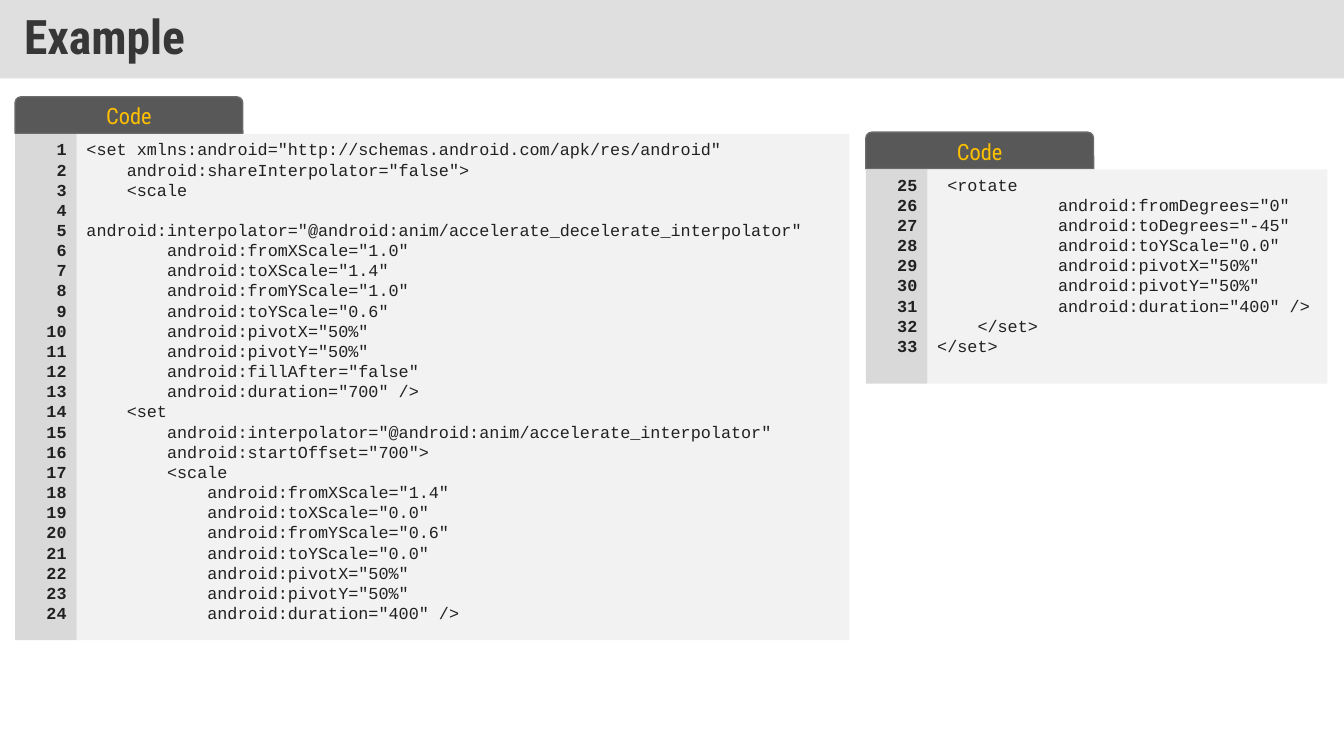
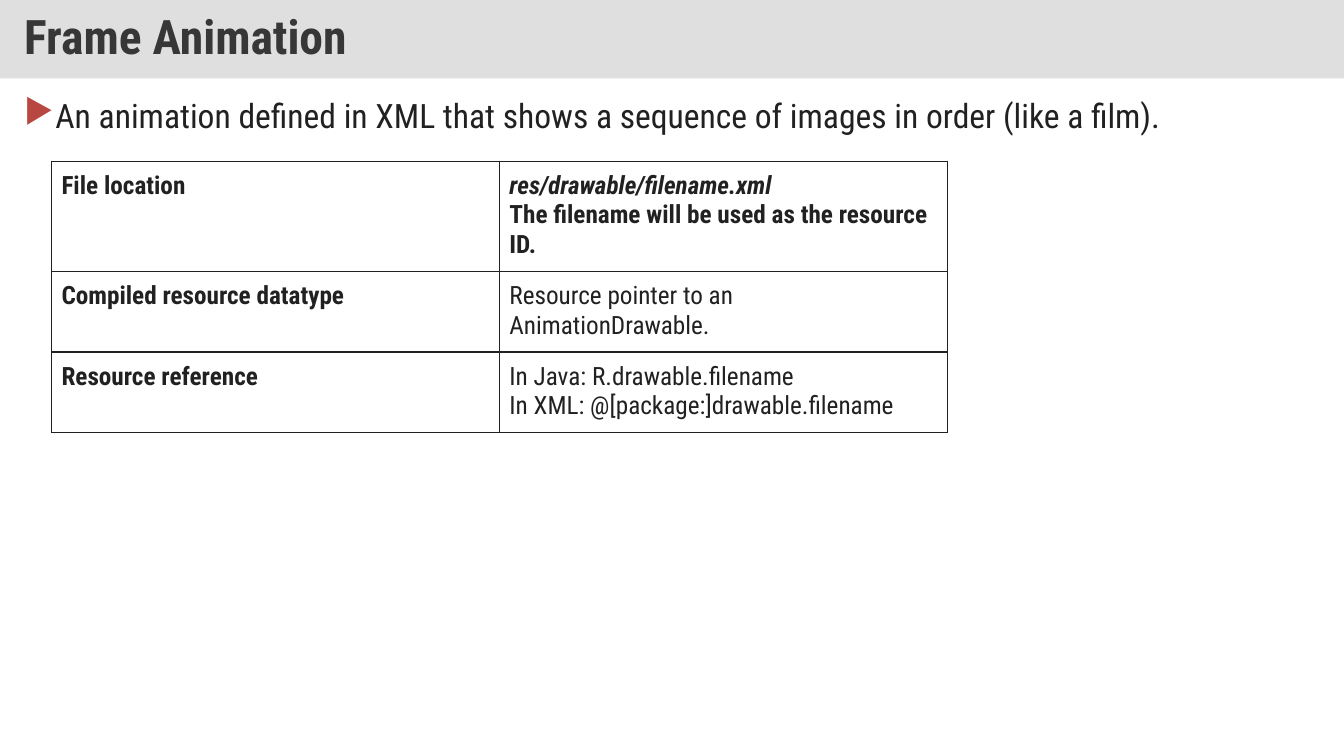
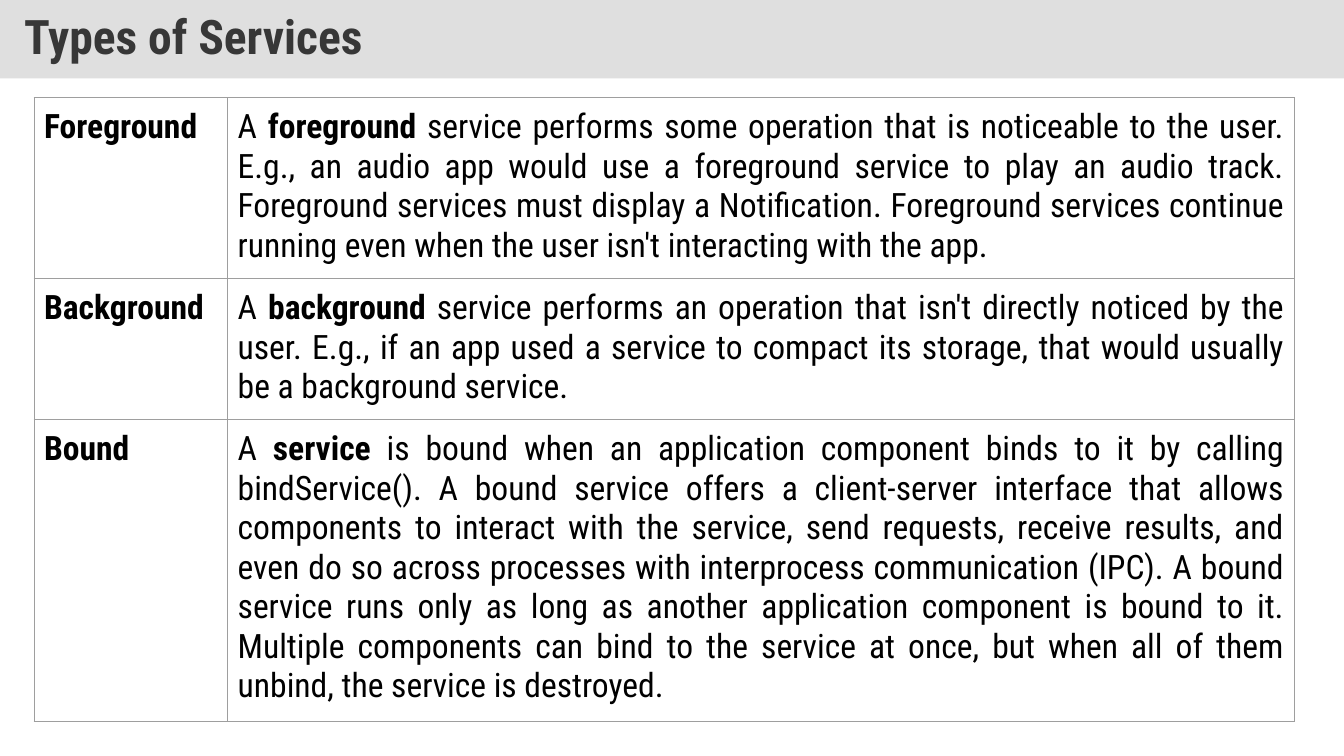
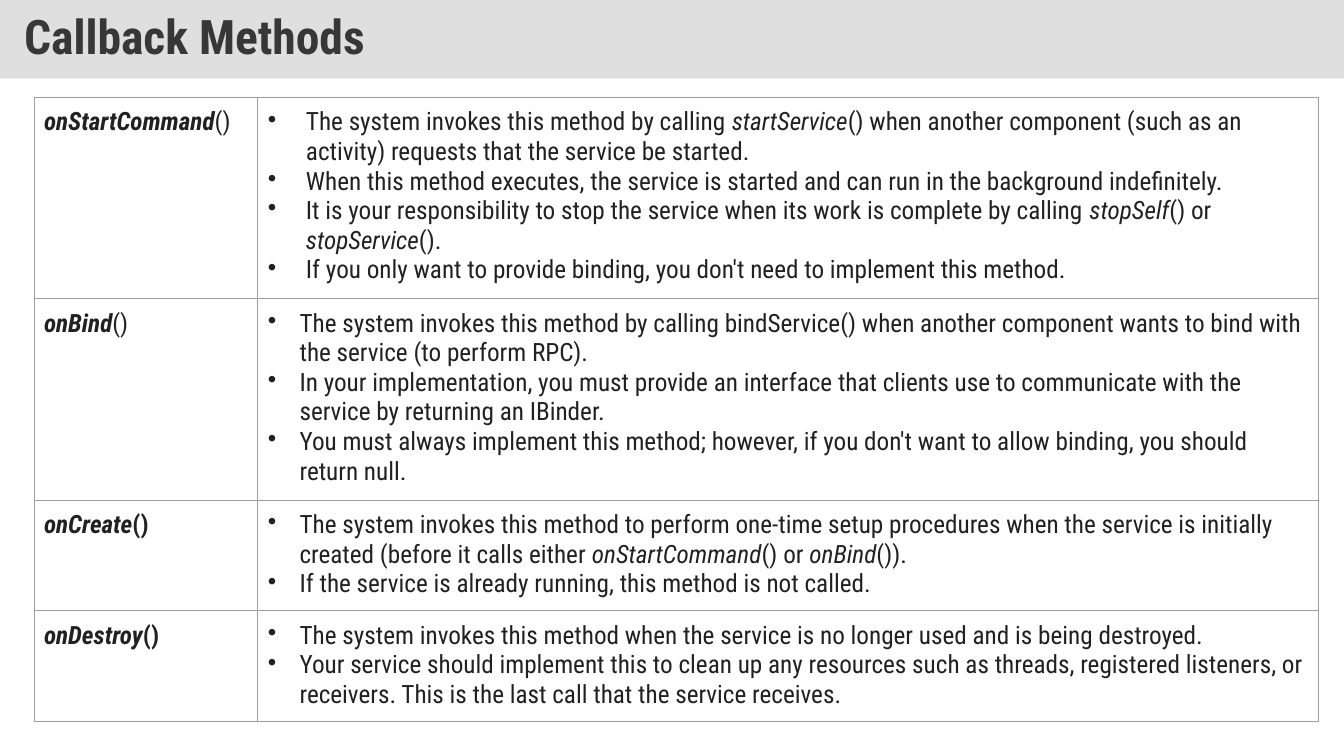
from lxml import etree
from pptx import Presentation
from pptx.dml.color import RGBColor
from pptx.enum.shapes import MSO_SHAPE
from pptx.enum.text import MSO_ANCHOR, PP_ALIGN
from pptx.oxml.ns import qn
from pptx.util import Cm, Pt

RECT, TAB = MSO_SHAPE.RECTANGLE, MSO_SHAPE.ROUND_2_SAME_RECTANGLE
LEFT, CENTER, RIGHT, JUSTIFY = PP_ALIGN.LEFT, PP_ALIGN.CENTER, PP_ALIGN.RIGHT, PP_ALIGN.JUSTIFY
TOP, MIDDLE = MSO_ANCHOR.TOP, MSO_ANCHOR.MIDDLE

BAND = RGBColor(0xC0, 0xC0, 0xC0)
TITLE = RGBColor(0x37, 0x37, 0x37)
INK = RGBColor(0x21, 0x21, 0x21)
BLACK = RGBColor(0, 0, 0)
RULE = RGBColor(0x9E, 0x9E, 0x9E)
RED = RGBColor(0xB8, 0x47, 0x42)
AMBER = RGBColor(0xFF, 0xC0, 0x00)
TAB_FILL = RGBColor(0x58, 0x58, 0x58)
TAB_LINE = RGBColor(0x6B, 0x6B, 0x6B)
CODE_FILL = RGBColor(0xF2, 0xF2, 0xF2)
GUTTER_FILL = RGBColor(0xD9, 0xD9, 0xD9)
SANS, MONO = "Roboto Condensed", "Courier New"

SLIDE_W, SLIDE_H = 33.87, 19.05
TITLE_H = 1.98
TAB_W, TAB_H, TAB_STEP = 5.74, 0.92, 0.94
GUTTER_W = 1.55
CELL_MARGIN = 0.25

# ---- content: a paragraph is a list of runs, a run is text or (text, style) ----
SCALE_CODE = [
    '<set xmlns:android="http://schemas.android.com/apk/res/android"',
    '    android:shareInterpolator="false">',
    '    <scale',
    '        android:interpolator="@android:anim/accelerate_decelerate_interpolator"',
    '        android:fromXScale="1.0"',
    '        android:toXScale="1.4"',
    '        android:fromYScale="1.0"',
    '        android:toYScale="0.6"',
    '        android:pivotX="50%"',
    '        android:pivotY="50%"',
    '        android:fillAfter="false"',
    '        android:duration="700" />',
    '    <set',
    '        android:interpolator="@android:anim/accelerate_interpolator"',
    '        android:startOffset="700">',
    '        <scale',
    '            android:fromXScale="1.4"',
    '            android:toXScale="0.0"',
    '            android:fromYScale="0.6"',
    '            android:toYScale="0.0"',
    '            android:pivotX="50%"',
    '            android:pivotY="50%"',
    '            android:duration="400" />',
]

ROTATE_CODE = [
    ' <rotate',
    '            android:fromDegrees="0"',
    '            android:toDegrees="-45"',
    '            android:toYScale="0.0"',
    '            android:pivotX="50%"',
    '            android:pivotY="50%"',
    '            android:duration="400" />',
    '    </set>',
    '</set>',
]

# left, top, code width, height, first and last line number, code
CODE_PANELS = [
    (0.38, 2.44, 19.48, 12.75, 1, 24, SCALE_CODE),
    (21.82, 3.33, 10.08, 5.4, 25, 33, ROTATE_CODE),
]

FRAME_INTRO = "An animation defined in XML that shows a sequence of images in order (like a film)."
FRAME_ROWS = [
    ([[("File location", "b")]],
     [[("res/drawable/filename.xml", "bi")],
      [("The filename will be used as the resource ID.", "b")]]),
    ([[("Compiled resource datatype", "b")]],
     [["Resource pointer to an AnimationDrawable."]]),
    ([[("Resource reference", "b")]],
     [["In Java: R.drawable.filename"], ["In XML: @[package:]drawable.filename"]]),
]

SERVICE_ROWS = [
    ([[("Foreground", "b")]],
     [["A ", ("foreground", "b"),
       " service performs some operation that is noticeable to the user. E.g., an audio app "
       "would use a foreground service to play an audio track. Foreground services must display "
       "a Notification. Foreground services continue running even when the user isn't "
       "interacting with the app."]]),
    ([[("Background", "b")]],
     [["A ", ("background", "b"),
       " service performs an operation that isn't directly noticed by the user. E.g., if an app "
       "used a service to compact its storage, that would usually be a background service."]]),
    ([[("Bound", "b")]],
     [["A ", ("service", "b"),
       " is bound when an application component binds to it by calling bindService(). A bound "
       "service offers a client-server interface that allows components to interact with the "
       "service, send requests, receive results, and even do so across processes with "
       "interprocess communication (IPC). A bound service runs only as long as another "
       "application component is bound to it. Multiple components can bind to the service at "
       "once, but when all of them unbind, the service is destroyed."]]),
]

CALLBACK_ROWS = [
    ([[("onStartCommand", "bi"), "()"]],
     [["The system invokes this method by calling ", ("startService", "i"),
       "() when another component (such as an activity) requests that the service be started."],
      ["When this method executes, the service is started and can run in the background "
       "indefinitely."],
      ["It is your responsibility to stop the service when its work is complete by calling ",
       ("stopSelf", "i"), "() or ", ("stopService", "i"), "()."],
      ["If you only want to provide binding, you don't need to implement this method."]]),
    ([[("onBind", "bi"), "()"]],
     [["The system invokes this method by calling bindService() when another component wants "
       "to bind with the service (to perform RPC)."],
      ["In your implementation, you must provide an interface that clients use to communicate "
       "with the service by returning an IBinder."],
      ["You must always implement this method; however, if you don't want to allow binding, "
       "you should return null."]]),
    ([[("onCreate", "bi"), ("()", "b")]],
     [["The system invokes this method to perform one-time setup procedures when the service "
       "is initially created (before it calls either ", ("onStartCommand", "i"), "() or ",
       ("onBind", "i"), "())."],
      ["If the service is already running, this method is not called."]]),
    ([[("onDestroy", "bi"), ("()", "b")]],
     [["The system invokes this method when the service is no longer used and is being "
       "destroyed."],
      ["Your service should implement this to clean up any resources such as threads, "
       "registered listeners, or receivers. This is the last call that the service receives."]]),
]


def set_bullet(p, char, indent, color=None):
    """Give a paragraph a hanging bullet; indent is in centimetres."""
    pPr = p._p.get_or_add_pPr()
    pPr.set("marL", str(Cm(indent)))
    pPr.set("indent", str(-Cm(indent)))
    if color is not None:
        clr = etree.SubElement(pPr, qn("a:buClr"))
        etree.SubElement(clr, qn("a:srgbClr")).set("val", str(color))
    etree.SubElement(pPr, qn("a:buChar")).set("char", char)


def write(tf, paragraphs, size, color, font=SANS, align=LEFT, bullet=None, spacing=None):
    """Fill a text frame; bullet is (character, indent[, colour])."""
    tf.word_wrap = True
    for n, runs in enumerate(paragraphs):
        p = tf.add_paragraph() if n else tf.paragraphs[0]
        if bullet:
            set_bullet(p, *bullet)
        p.alignment = align
        if spacing:
            p.line_spacing = spacing
        for run in runs:
            text, style = (run, "") if isinstance(run, str) else run
            r = p.add_run()
            r.text = text
            r.font.name, r.font.size = font, Pt(size)
            r.font.bold, r.font.italic = "b" in style, "i" in style
            r.font.color.rgb = color


def add_box(s, kind, left, top, width, height, fill, line=None, anchor=TOP):
    sp = s.shapes.add_shape(kind, Cm(left), Cm(top), Cm(width), Cm(height))
    sp.shadow.inherit = False
    sp.fill.solid()
    sp.fill.fore_color.rgb = fill
    if line is None:
        sp.line.fill.background()
    else:
        sp.line.color.rgb = line
        sp.line.width = Pt(1)
    sp.text_frame.vertical_anchor = anchor
    return sp


def add_titled_slide(prs, title):
    s = prs.slides.add_slide(prs.slide_layouts[6])
    sp = add_box(s, RECT, 0, 0, SLIDE_W, TITLE_H, BAND, anchor=MIDDLE)
    clr = sp._element.spPr.find(qn("a:solidFill"))[0]
    etree.SubElement(clr, qn("a:alpha")).set("val", "50000")
    tf = sp.text_frame
    tf.margin_left = tf.margin_right = Cm(0.61)
    tf.margin_top = tf.margin_bottom = Cm(0.3)
    write(tf, [[(title, "b")]], 34, TITLE, spacing=0.9)
    return s


def add_code_panel(s, left, top, width, height, first, last, code):
    tab = add_box(s, TAB, left, top, TAB_W, TAB_H, TAB_FILL, TAB_LINE, MIDDLE)
    write(tab.text_frame, [["Code"]], 16, AMBER, align=CENTER)
    top += TAB_STEP
    body = add_box(s, RECT, left + GUTTER_W, top, width, height, CODE_FILL)
    write(body.text_frame, [[line] for line in code], 12, INK, MONO)
    gutter = add_box(s, RECT, left, top, GUTTER_W, height, GUTTER_FILL)
    numbers = [[(str(n), "b")] for n in range(first, last + 1)]
    write(gutter.text_frame, numbers, 12, INK, MONO, RIGHT)


def set_borders(cell, color, width):
    tcPr = cell._tc.get_or_add_tcPr()
    for side in ("lnL", "lnR", "lnT", "lnB"):
        ln = etree.SubElement(tcPr, qn("a:" + side))
        ln.set("w", str(Pt(width)))
        fill = etree.SubElement(ln, qn("a:solidFill"))
        etree.SubElement(fill, qn("a:srgbClr")).set("val", str(color))


def add_text_table(s, rows, left, top, col_widths, row_heights, size, color,
                   border, align=LEFT, indents=None):
    """Two-column table; align and the per-row bullet indents apply to column two."""
    frame = s.shapes.add_table(len(rows), len(col_widths), Cm(left), Cm(top),
                               Cm(sum(col_widths)), Cm(sum(row_heights)))
    table = frame.table
    table.first_row = table.horz_banding = False
    for col, width in zip(table.columns, col_widths):
        col.width = Cm(width)
    for i, (row, height) in enumerate(zip(rows, row_heights)):
        table.rows[i].height = Cm(height)
        for j, paragraphs in enumerate(row):
            cell = table.cell(i, j)
            set_borders(cell, *border)
            cell.fill.background()
            cell.margin_left = cell.margin_right = Cm(CELL_MARGIN)
            cell.margin_top = cell.margin_bottom = Cm(CELL_MARGIN)
            bullet = ("•", indents[i]) if j and indents else None
            write(cell.text_frame, paragraphs, size, color,
                  align=align if j else LEFT, bullet=bullet)


def main():
    prs = Presentation()
    prs.slide_width, prs.slide_height = Cm(SLIDE_W), Cm(SLIDE_H)

    s = add_titled_slide(prs, "Example")
    for panel in CODE_PANELS:
        add_code_panel(s, *panel)

    s = add_titled_slide(prs, "Frame Animation")
    intro = s.shapes.add_textbox(Cm(0.36), Cm(2.39), Cm(33.15), Cm(1.4))
    write(intro.text_frame, [[FRAME_INTRO]], 24, INK, align=JUSTIFY,
          bullet=("▶", 0.74, RED), spacing=0.9)
    add_text_table(s, FRAME_ROWS, 1.3, 4.06, (11.29, 11.29), (2.74, 2, 2),
                   18, INK, (INK, 1))

    s = add_titled_slide(prs, "Types of Services")
    add_text_table(s, SERVICE_ROWS, 0.86, 2.46, (4.88, 26.88), (4.5, 3.5, 7.5),
                   24, BLACK, (RULE, 0.75), JUSTIFY)

    s = add_titled_slide(prs, "Callback Methods")
    add_text_table(s, CALLBACK_ROWS, 0.86, 2.46, (5.64, 26.72), (4.98, 4.98, 2.75, 2.75),
                   18, INK, (RULE, 0.75), indents=(0.96, 0.8, 0.8, 0.8))

    prs.save("out.pptx")


if __name__ == "__main__":
    main()
